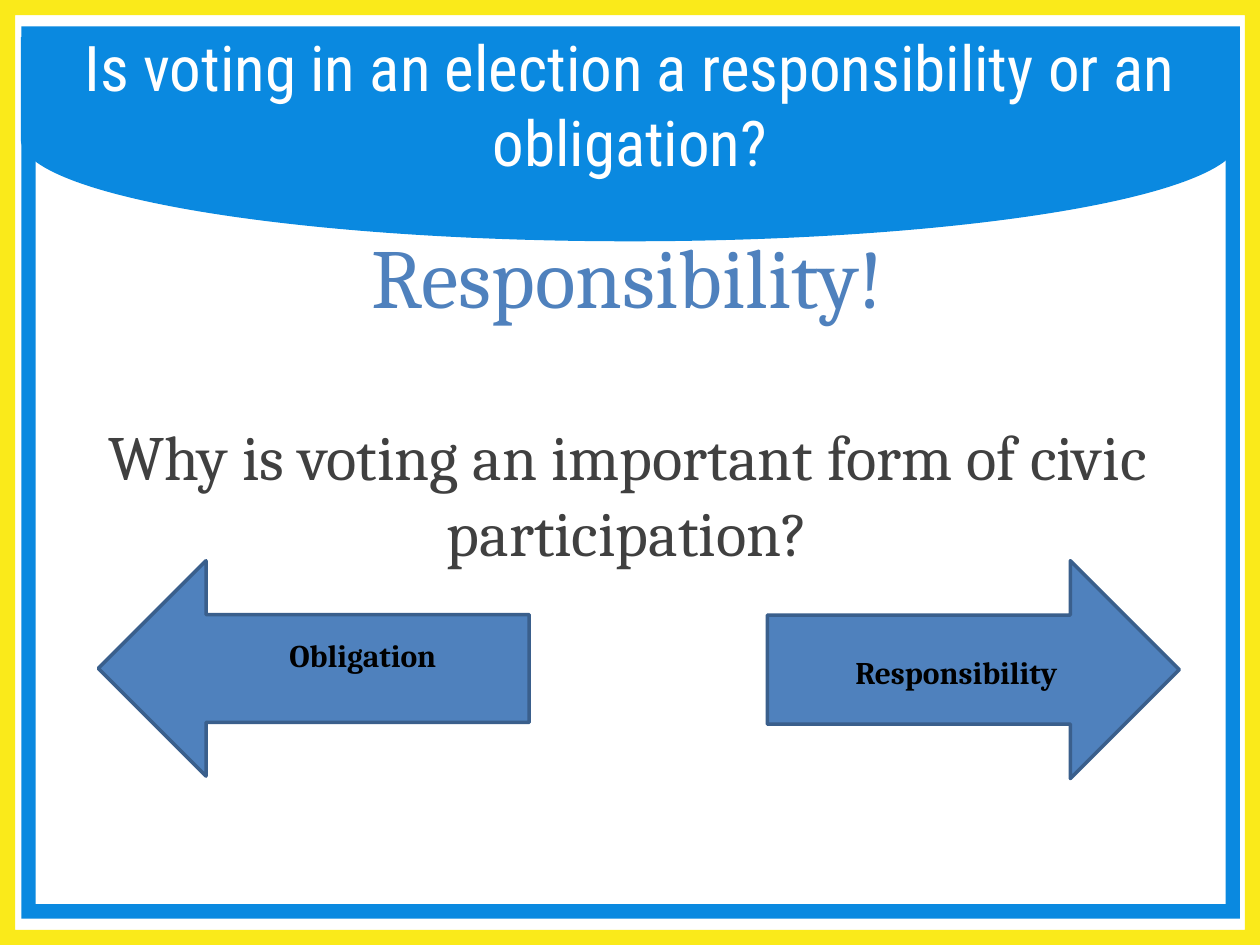
from dataclasses import dataclass

from pptx import Presentation
from pptx.dml.color import RGBColor
from pptx.enum import shapes, text
from pptx.oxml import parse_xml
from pptx.oxml.ns import nsdecls
from pptx.util import Inches, Pt

KIND = shapes.MSO_SHAPE


@dataclass(frozen=True)
class Theme:
    sky: str = "0A89E0"
    sun: str = "FAEA1A"
    steel: str = "4F81BD"
    edge: str = "3A5F8C"
    gray: str = "404040"
    black: str = "000000"
    white: str = "FFFFFF"
    serif: str = "Cambria"
    sans: str = "Roboto Condensed"
    huge: int = 48
    large: int = 36
    small: int = 18


def write(para, words, face, size, color, bold=False, before=0, left=0):
    props = para._p.get_or_add_pPr()
    props.set("marL", str(Inches(left)))
    props.set("indent", "0")
    props.append(parse_xml(f"<a:buNone {nsdecls('a')}/>"))
    para.alignment = text.PP_ALIGN.CENTER
    para.space_before = Pt(before)
    run = para.add_run()
    run.text = words
    run.font.name = face
    run.font.size = Pt(size)
    run.font.bold = bold
    run.font.color.rgb = RGBColor.from_string(color)


class Deck:
    def __init__(self, theme):
        self.theme = theme
        self.file = Presentation()
        self.file.slide_width = Inches(10)
        self.file.slide_height = Inches(7.5)
        self.slide = self.file.slides.add_slide(self.file.slide_layouts[1])

    def shape(self, kind, box, fill, line=None, turn=0, adjust=None):
        item = self.slide.shapes.add_shape(kind, *map(Inches, box))
        item.shadow.inherit = False
        item.fill.solid()
        item.fill.fore_color.rgb = RGBColor.from_string(fill)
        if line:
            item.line.color.rgb = RGBColor.from_string(line)
            item.line.width = Pt(2)
        else:
            item.line.fill.background()
        item.rotation = turn
        if adjust is not None:
            item.adjustments[0] = adjust

    def holder(self, item, box):
        item.left, item.top, item.width, item.height = map(Inches, box)
        self.slide.shapes._spTree.append(item.element)
        frame = item.text_frame
        frame.word_wrap = True
        frame.auto_size = text.MSO_AUTO_SIZE.NONE
        return frame

    def title(self, words, box):
        frame = self.holder(self.slide.shapes.title, box)
        frame.margin_top = frame.margin_bottom = 0
        frame.vertical_anchor = text.MSO_ANCHOR.MIDDLE
        look = self.theme
        write(frame.paragraphs[0], words, look.sans, look.large, look.white)

    def body(self, head, ask, box):
        frame = self.holder(self.slide.placeholders[1], box)
        look = self.theme
        write(frame.paragraphs[0], head, look.serif, look.huge, look.steel,
              left=0.05)
        write(frame.add_paragraph(), ask, look.serif, look.large, look.gray,
              before=53, left=0.05)

    def label(self, words, box):
        frame = self.slide.shapes.add_textbox(*map(Inches, box)).text_frame
        frame.word_wrap = True
        frame.auto_size = text.MSO_AUTO_SIZE.SHAPE_TO_FIT_TEXT
        look = self.theme
        write(frame.paragraphs[0], words, look.serif, look.small, look.black,
              bold=True)


def main():
    look = Theme()
    deck = Deck(look)
    deck.shape(KIND.FLOWCHART_DELAY, (4.19, -3.73, 1.62, 9.67), look.sky,
               turn=90)
    deck.shape(KIND.FRAME, (0, 0, 10, 7.5), look.sun, adjust=0.016)
    deck.shape(KIND.FRAME, (0.17, 0.21, 9.67, 7.08), look.sky, adjust=0.016)
    deck.body("Responsibility!",
              "Why is voting an important form of civic participation?",
              (0.36, 1.73, 9.19, 4.82))
    deck.title("Is voting in an election a responsibility or an obligation?",
               (0.5, 0.2, 9, 1.25))
    deck.shape(KIND.RIGHT_ARROW, (6.09, 4.45, 3.27, 1.73), look.steel,
               line=look.edge)
    deck.shape(KIND.RIGHT_ARROW, (0.78, 4.45, 3.42, 1.71), look.steel,
               line=look.edge, turn=180)
    deck.label("Responsibility", (6.15, 5.13, 2.88, 0.4))
    deck.label("Obligation", (1.61, 5, 2.54, 0.4))
    deck.file.save("out.pptx")


if __name__ == "__main__":
    main()
